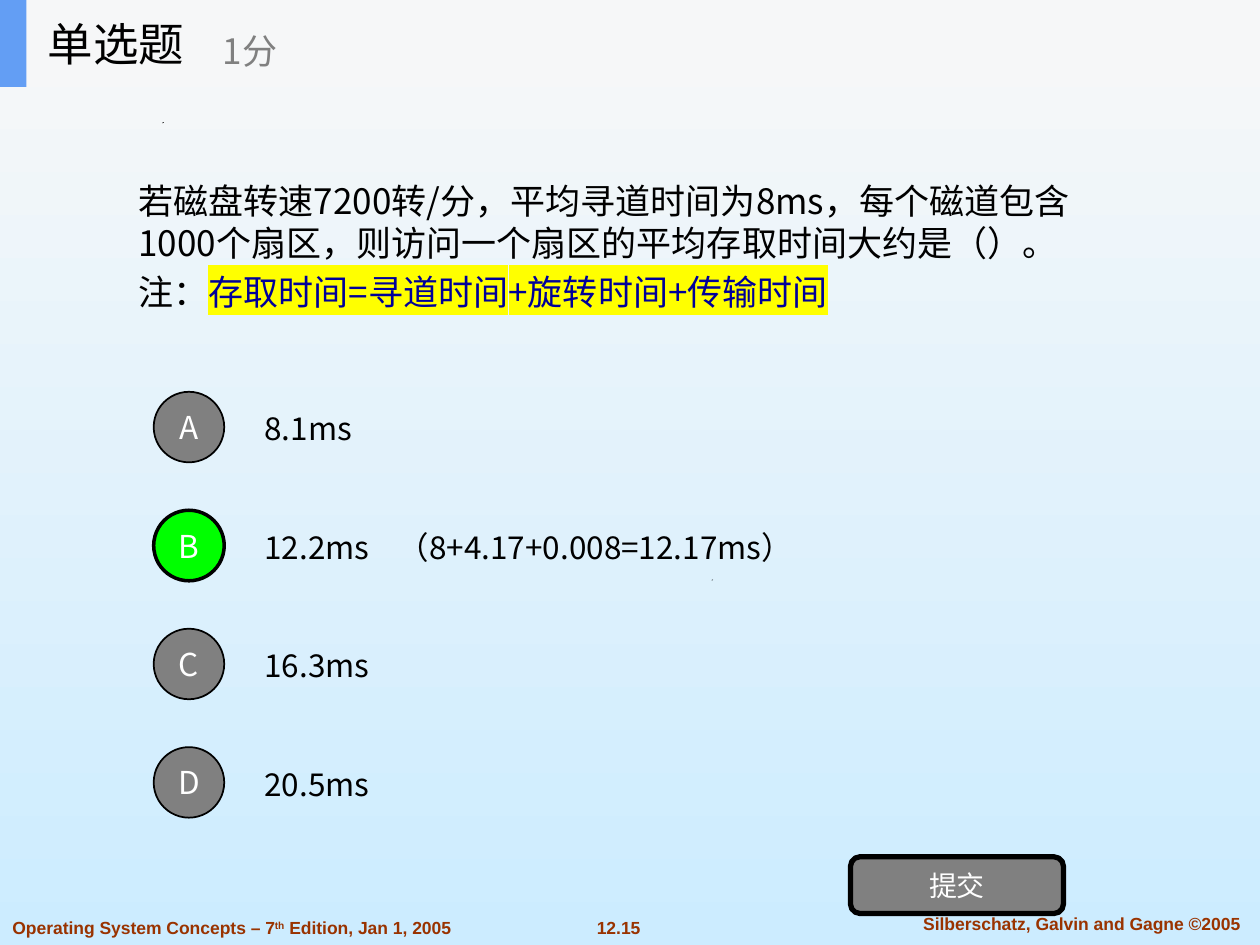
"""Build a single-choice quiz slide on disk access time."""
import lxml.etree
import pptx
import pptx.dml.color
import pptx.enum.shapes
import pptx.enum.text
import pptx.oxml.ns
import pptx.util

Inches = pptx.util.Inches
Pt = pptx.util.Pt
Kind = pptx.enum.shapes.MSO_SHAPE
Align = pptx.enum.text.PP_ALIGN
Anchor = pptx.enum.text.MSO_ANCHOR
qn = pptx.oxml.ns.qn
rgb = pptx.dml.color.RGBColor.from_string

theme = {
    "latin": "Arial", "han": "Noto Sans CJK SC",
    "black": rgb("000000"), "white": rgb("FFFFFF"), "grey": rgb("808080"),
    "green": rgb("00FF00"), "navy": rgb("000099"), "brown": rgb("993300"),
    "blue": rgb("639EF4"), "pale": rgb("F6F7F8"), "mark": "FFFF00",
    "top": rgb("F8F8F8"), "base": rgb("CCECFF"),
    "title": Pt(26), "body": Pt(20), "choice": Pt(18), "button": Pt(16), "foot": Pt(10),
}


def write(shape, text, size, color, face="han", mid=False, anchor=Anchor.MIDDLE, tail=()):
    frame = shape.text_frame
    frame.text = text
    frame.word_wrap = not mid
    frame.vertical_anchor = anchor
    for part in tail:
        frame.paragraphs[-1].add_run().text = part
    for para in frame.paragraphs:
        para.alignment = Align.CENTER if mid else Align.LEFT
        for run in para.runs:
            run.font.size = theme[size]
            run.font.name = theme[face]
            run.font.bold = face == "latin"
            run.font.color.rgb = theme[color]
            east = lxml.etree.SubElement(run.font._element, qn("a:ea"))
            east.set("typeface", theme[face])
    return frame.paragraphs[-1]


def draw(parent, kind, place, fill, width=0):
    shape = parent.add_shape(kind, *map(Inches, place))
    shape.shadow.inherit = False
    shape.fill.solid()
    shape.fill.fore_color.rgb = theme[fill]
    if width:
        shape.line.color.rgb = theme["black"]
        shape.line.width = Pt(width)
    else:
        shape.line.fill.background()
    return shape


deck = pptx.Presentation()
deck.slide_width, deck.slide_height = Inches(10), Inches(7.5)
slide = deck.slides.add_slide(deck.slide_layouts[6])
shapes = slide.shapes

back = slide.background.fill
back.gradient()
back.gradient_angle = 270
for stop, name in zip(back.gradient_stops, ("top", "base")):
    stop.color.rgb = theme[name]

for left, top in ((5.65, 4.6), (1.29, 0.97)):
    pen = shapes.build_freeform(Inches(left), Inches(top + 0.01))
    pen.add_line_segments([(Inches(left), Inches(top)), (Inches(left + 0.01), Inches(top))])
    speck = pen.convert_to_shape()
    speck.shadow.inherit = False
    speck.fill.solid()
    speck.fill.fore_color.rgb = theme["black"]
    speck.line.fill.background()

feet = (
    ((4.63, 7.23, 0.56, 0.27), "12.15", True, ()),
    ((7.1, 7.2, 2.97, 0.27), "Silberschatz, Galvin and Gagne ©2005", True, ()),
    ((0, 7.23, 3.69, 0.27), "Operating System Concepts – 7", False,
     ("th", " Edition, Jan 1, 2005")),
)
for place, text, mid, tail in feet:
    foot = shapes.add_textbox(*map(Inches, place))
    line = write(foot, text, "foot", "brown", "latin", mid, Anchor.TOP, tail)
line.runs[1].font._element.set("baseline", "30000")

ask = shapes.add_textbox(Inches(1), Inches(1.23), Inches(8), Inches(1.44))
text = (
    "若磁盘转速7200转/分，平均寻道时间为8ms，每个磁道包含1000个扇区，"
    "则访问一个扇区的平均存取时间大约是（）。\n注："
)
note = write(ask, text, "body", "black", tail=("存取时间=寻道时间+旋转时间+传输时间",))
note.space_before = Pt(4)
rule = note.runs[1].font
rule.color.rgb = theme["navy"]
glow = lxml.etree.Element(qn("a:highlight"))
lxml.etree.SubElement(glow, qn("a:srgbClr")).set("val", theme["mark"])
rule._element.find(qn("a:latin")).addprevious(glow)

picks = (
    ("A", "8.1ms", 1.68),
    ("B", "12.2ms\t（8+4.17+0.008=12.17ms）", 4.94),
    ("C", "16.3ms", 1.68),
    ("D", "20.5ms", 1.68),
)
for row, (mark, text, wide) in enumerate(picks):
    top = 3.11 + 0.94 * row
    right = mark == "B"
    label = shapes.add_textbox(Inches(2), Inches(top - 0.06), Inches(wide), Inches(0.7))
    line = write(label, text, "choice", "black")
    if right:
        tabs = lxml.etree.SubElement(line._p.get_or_add_pPr(), qn("a:tabLst"))
        tab = lxml.etree.SubElement(tabs, qn("a:tab"))
        tab.set("pos", str(Inches(1.06)))
        tab.set("algn", "l")
    disc = draw(shapes, Kind.OVAL, (1.22, top, 0.56, 0.56),
                "green" if right else "grey", 2 if right else 1)
    write(disc, mark, "choice", "white", mid=True)

send = draw(shapes, Kind.ROUNDED_RECTANGLE, (6.75, 6.8, 1.69, 0.45), "grey", 3)
write(send, "提交", "button", "white", mid=True)

head = shapes.add_group_shape().shapes
draw(head, Kind.RECTANGLE, (0, 0, 10, 0.69), "pale")
draw(head, Kind.RECTANGLE, (0, 0, 0.21, 0.69), "blue")
title = head.add_textbox(Inches(0.28), Inches(0), Inches(2.08), Inches(0.69))
write(title, "单选题", "title", "black")
score = head.add_textbox(Inches(1.67), Inches(0.12), Inches(2.5), Inches(0.56))
write(score, "1分", "body", "grey")

deck.save("out.pptx")
